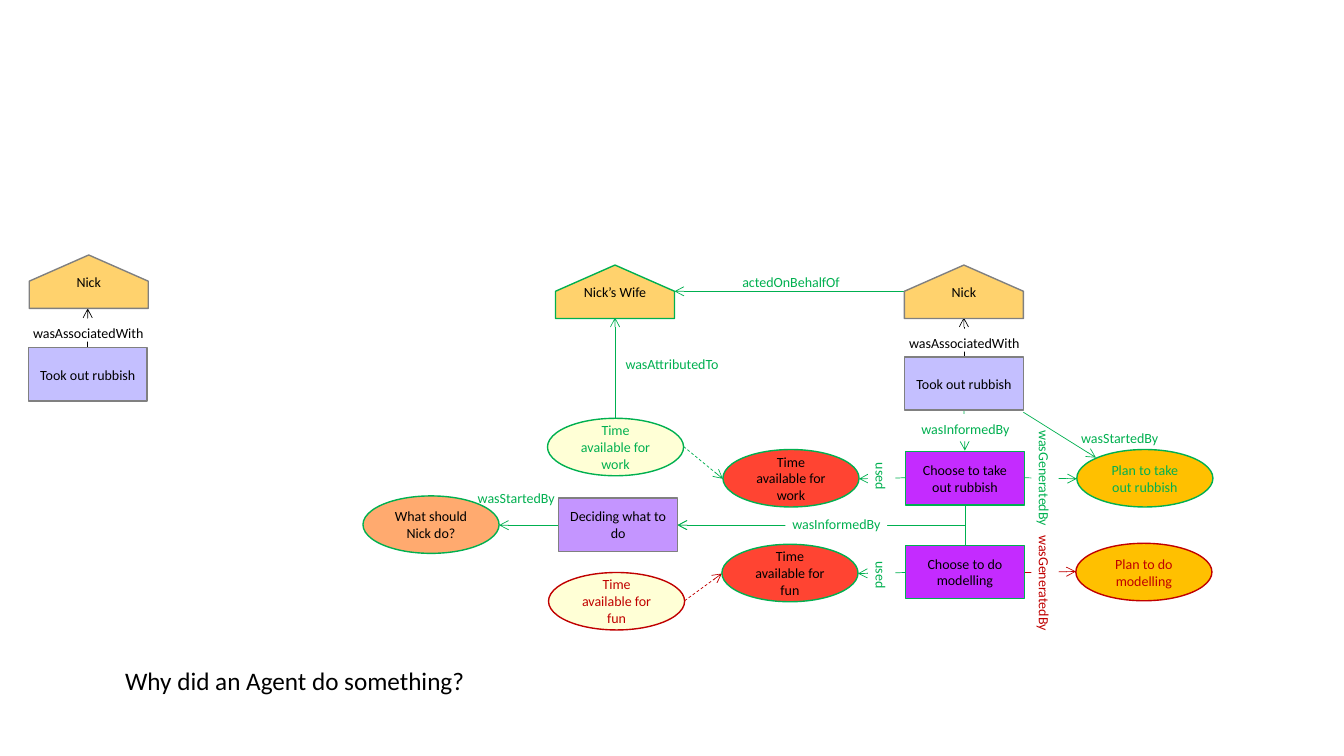
from dataclasses import dataclass

from lxml.etree import SubElement
from pptx import Presentation
from pptx.dml.color import RGBColor
from pptx.enum.dml import MSO_LINE
from pptx.enum.shapes import MSO_CONNECTOR, MSO_SHAPE
from pptx.enum.text import MSO_ANCHOR, MSO_AUTO_SIZE, PP_ALIGN
from pptx.oxml.ns import qn
from pptx.util import Emu, Pt

PX = 9144  # EMU per px, 100 px to the inch
FONT = "Calibri"
BLACK, WHITE, GREY = "000000", "FFFFFF", "808080"
GREEN, RED = "00B050", "C00000"
AGENT_FILL, ACTIVITY_FILL, CHOICE_FILL = "FFD26D", "C4BFFF", "C42BFF"
REASON_FILL, PLAN_FILL, TIME_FILL = "FF4432", "FFC000", "FFFFD6"
BOX_SIZE = (118, 53)
ENTITY_SIZE = (135, 57)
ROOF_HEIGHT = 26


@dataclass
class Node:
    text: str
    left: int
    top: int
    fill: str
    outline: str = GREY
    ink: str = BLACK


@dataclass
class Relation:
    start: tuple[int, int]
    tip: tuple[int, int]
    colour: str = GREEN
    dashed: bool = False
    bent: bool = False


@dataclass
class Label:
    text: str
    left: int
    top: int
    width: int = 101
    height: int = 27
    ink: str = GREEN
    rotation: int = 0
    filled: bool = True
    align: PP_ALIGN = PP_ALIGN.CENTER


AGENTS = [
    Node("Nick", 29, 253, AGENT_FILL),
    Node("Nick’s Wife", 551, 263, AGENT_FILL, GREEN),
    Node("Nick", 897, 263, AGENT_FILL),
]
ACTIVITIES = [
    Node("Took out rubbish", 28, 345, ACTIVITY_FILL),
    Node("Took out rubbish", 897, 354, ACTIVITY_FILL),
    Node("Choose to take out rubbish", 898, 448, CHOICE_FILL, GREEN),
    Node("Choose to do modelling", 898, 541, CHOICE_FILL, GREEN),
    Node("Deciding what to do", 554, 494, "C495FF"),
]
ENTITIES = [
    Node("What should Nick do?", 360, 492, "FFAA6F", GREEN),
    Node("Time available for work", 717, 446, REASON_FILL, GREEN),
    Node("Time available for fun", 716, 540, REASON_FILL, GREEN),
    Node("Plan to take out rubbish", 1068, 446, PLAN_FILL, GREEN, GREEN),
    Node("Plan to do modelling", 1067, 539, PLAN_FILL, RED, RED),
    Node("Time available for work", 543, 415, TIME_FILL, GREEN, GREEN),
    Node("Time available for fun", 544, 568, TIME_FILL, RED, RED),
]
RELATIONS = [
    Relation((87, 345), (87, 306), BLACK),
    Relation((956, 354), (956, 315), BLACK),
    Relation((897, 289), (669, 289)),
    Relation((898, 474), (852, 475)),
    Relation((898, 568), (851, 569)),
    Relation((554, 521), (495, 521)),
    Relation((956, 407), (957, 447)),
    Relation((1016, 474), (1068, 475)),
    Relation((1015, 409), (1087, 454)),
    Relation((1016, 568), (1067, 567), RED),
    Relation((610, 415), (610, 315)),
    Relation((957, 501), (672, 521), bent=True),
    Relation((957, 541), (672, 521), bent=True),
    Relation((679, 596), (716, 569), RED, dashed=True),
    Relation((678, 443), (717, 475), dashed=True),
]
LABELS = [
    Label("wasAssociatedWith", 37, 316, height=23, ink=BLACK),
    Label("wasAssociatedWith", 906, 326, height=23, ink=BLACK),
    Label("actedOnBehalfOf", 734, 266, filled=False),
    Label("wasAttributedTo", 616, 347),
    Label("wasInformedBy", 907, 411),
    Label("wasInformedBy", 779, 506),
    Label("wasStartedBy", 1064, 420, 93, 23, filled=False),
    Label("wasStartedBy", 464, 480, 90, 21, align=PP_ALIGN.LEFT),
    Label("used", 851, 459, 47, rotation=90),
    Label("used", 851, 557, 47, rotation=90),
    Label("wasGeneratedBy", 1007, 461, 59, rotation=90),
    Label("wasGeneratedBy", 1007, 565, 59, ink=RED, rotation=90),
]


def paint(colour_format, colour: str) -> None:
    colour_format.rgb = RGBColor.from_string(colour)


def emu(*lengths: int) -> list[Emu]:
    return [Emu(length * PX) for length in lengths]


def write(shape, text: str, ink: str, align: PP_ALIGN, size: int = 10):
    """Put one formatted paragraph in the shape and return it."""
    shape.text_frame.text = text
    paragraph = shape.text_frame.paragraphs[0]
    paragraph.alignment = align
    paragraph.font.name = FONT
    paragraph.font.size = Pt(size)
    paint(paragraph.font.color, ink)
    return paragraph


def finish_node(shape, node: Node) -> None:
    shape.shadow.inherit = False
    shape.fill.solid()
    paint(shape.fill.fore_color, node.fill)
    paint(shape.line.color, node.outline)
    shape.line.width = Pt(1)
    write(shape, node.text, node.ink, PP_ALIGN.CENTER)
    shape.text_frame.word_wrap = True
    shape.text_frame.vertical_anchor = MSO_ANCHOR.MIDDLE


def draw_agent(shapes, node: Node) -> None:
    width, height = BOX_SIZE
    right, bottom = node.left + width, node.top + height
    eaves = node.top + ROOF_HEIGHT
    house = shapes.build_freeform(node.left + width // 2, node.top, scale=float(PX))
    house.add_line_segments(
        [(right, eaves), (right, bottom), (node.left, bottom), (node.left, eaves)])
    finish_node(house.convert_to_shape(), node)


def draw_node(shapes, node: Node, kind: MSO_SHAPE, size: tuple[int, int]) -> None:
    finish_node(shapes.add_shape(kind, *emu(node.left, node.top, *size)), node)


def draw_relation(shapes, relation: Relation) -> None:
    # A bent line leaves its tip horizontally, so it is drawn from the tip
    if relation.bent:
        kind, ends, arrow = MSO_CONNECTOR.ELBOW, relation.tip + relation.start, "a:headEnd"
    else:
        kind, ends, arrow = MSO_CONNECTOR.STRAIGHT, relation.start + relation.tip, "a:tailEnd"
    connector = shapes.add_connector(kind, *emu(*ends))
    paint(connector.line.color, relation.colour)
    connector.line.width = Pt(0.5)
    if relation.dashed:
        connector.line.dash_style = MSO_LINE.DASH
    properties = connector._element.spPr
    if relation.bent:
        properties.find(qn("a:prstGeom")).set("prst", "bentConnector2")
    SubElement(properties.find(qn("a:ln")), qn(arrow), type="arrow")
    SubElement(properties, qn("a:effectLst"))


def draw_label(shapes, label: Label) -> None:
    area = emu(label.left, label.top, label.width, label.height)
    if label.filled:
        box = shapes.add_shape(MSO_SHAPE.RECTANGLE, *area)
        box.shadow.inherit = False
        box.fill.solid()
        paint(box.fill.fore_color, WHITE)
        box.line.fill.background()
    else:
        # Without side margins the word fits on one line
        box = shapes.add_textbox(*area)
        box.text_frame.margin_left = box.text_frame.margin_right = 0
    box.rotation = label.rotation
    box.text_frame.word_wrap = False
    box.text_frame.vertical_anchor = MSO_ANCHOR.TOP
    paragraph = write(box, label.text, label.ink, label.align)
    paragraph.line_spacing = 1.05
    paragraph.space_after = Pt(8)


def main() -> None:
    presentation = Presentation()
    presentation.slide_width, presentation.slide_height = emu(1333, 750)
    slide = presentation.slides.add_slide(presentation.slide_layouts[5])
    shapes = slide.shapes

    # Question
    question = shapes.title
    question.left, question.top, question.width, question.height = emu(114, 655, 361, 40)
    write(question, "Why did an Agent do something?", BLACK, PP_ALIGN.LEFT, 18)
    question.text_frame.word_wrap = False
    question.text_frame.auto_size = MSO_AUTO_SIZE.SHAPE_TO_FIT_TEXT
    question.text_frame.vertical_anchor = MSO_ANCHOR.TOP

    # Provenance graph: relations lie under their labels and the nodes
    for relation in RELATIONS:
        draw_relation(shapes, relation)
    for label in LABELS:
        draw_label(shapes, label)
    for agent in AGENTS:
        draw_agent(shapes, agent)
    for activity in ACTIVITIES:
        draw_node(shapes, activity, MSO_SHAPE.RECTANGLE, BOX_SIZE)
    for entity in ENTITIES:
        draw_node(shapes, entity, MSO_SHAPE.OVAL, ENTITY_SIZE)

    presentation.save("out.pptx")


if __name__ == "__main__":
    main()
